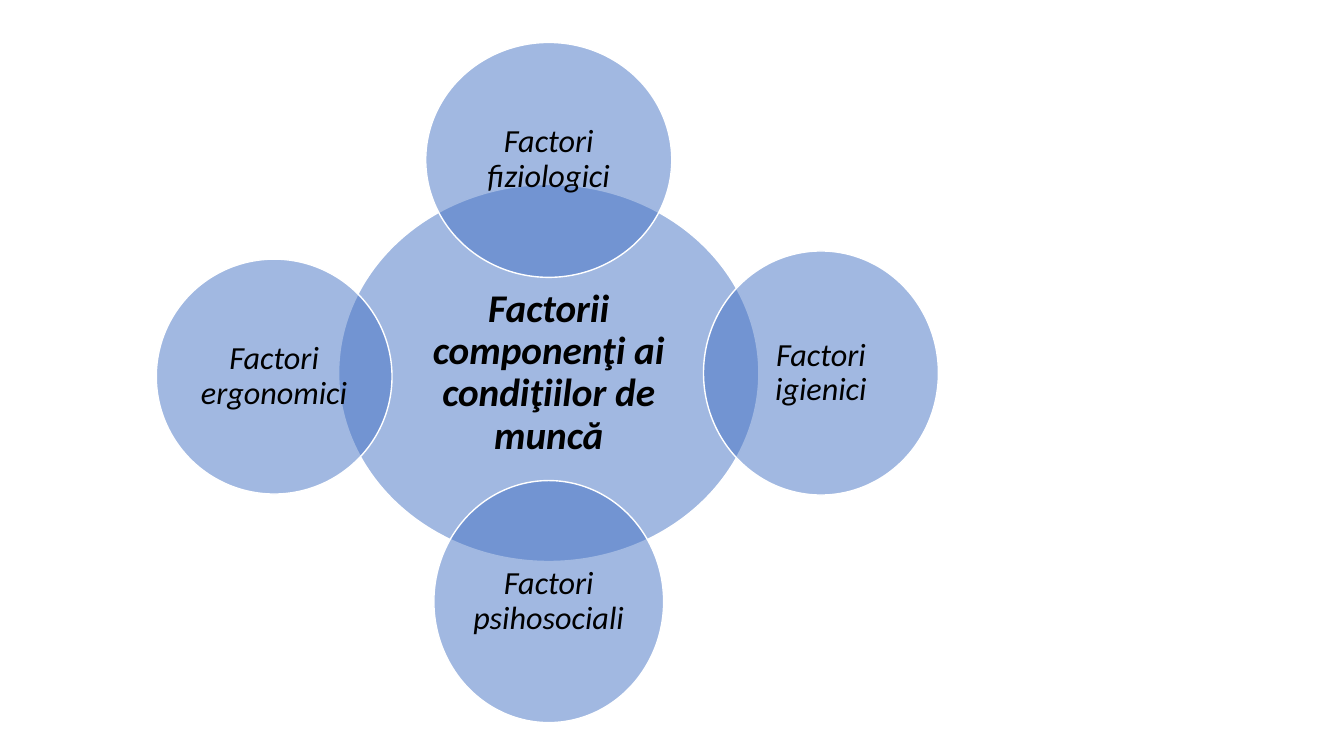
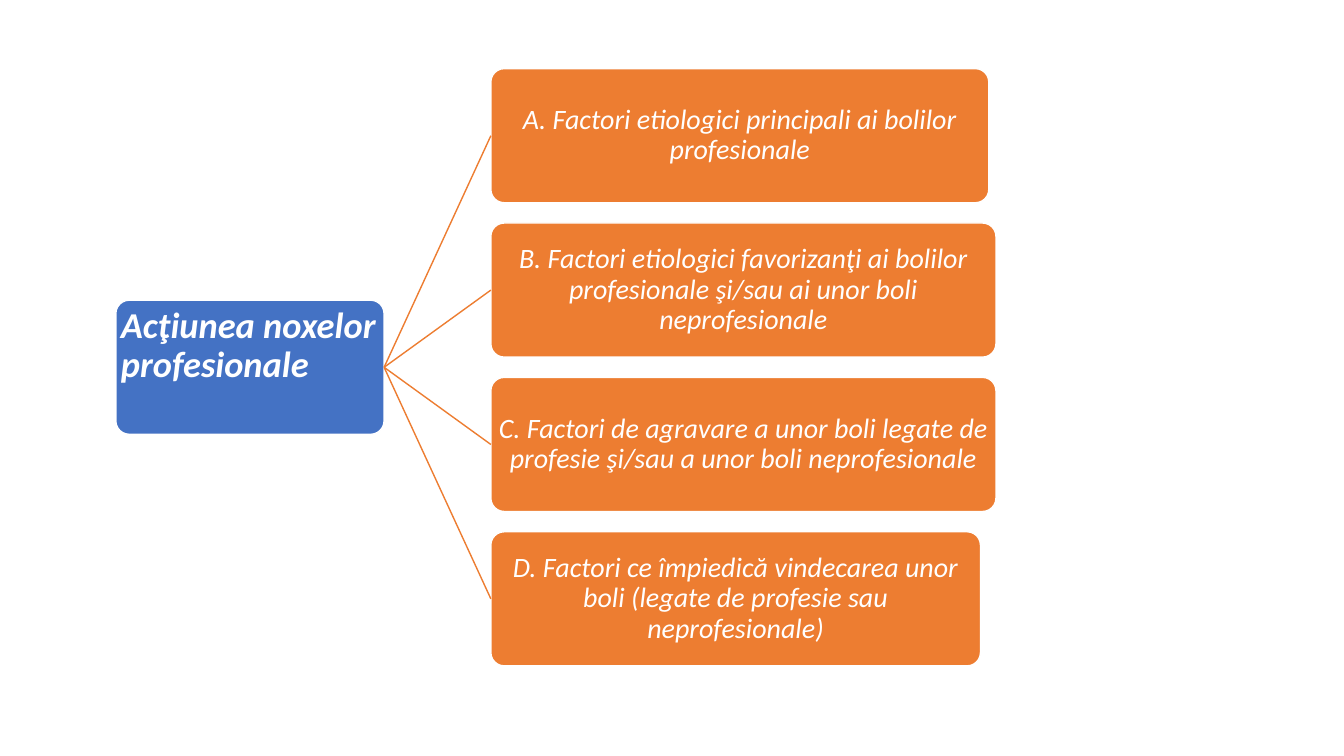
import pptx
import pptx.dml.color
import pptx.enum.shapes
import pptx.enum.text
import pptx.oxml.ns
import pptx.util
from lxml import etree

Cm = pptx.util.Cm
Pt = pptx.util.Pt
Kind = pptx.enum.shapes.MSO_SHAPE
Align = pptx.enum.text.PP_ALIGN
Anchor = pptx.enum.text.MSO_ANCHOR
qn = pptx.oxml.ns.qn


def color(text):
    return pptx.dml.color.RGBColor.from_string(text)


class Deck:
    FONT = "Calibri"
    BLUE, ORANGE, WHITE, BLACK = "4472C4", "ED7D31", "FFFFFF", "000000"

    def __init__(self):
        self.file = pptx.Presentation()
        self.file.slide_width = Cm(33.87)
        self.file.slide_height = Cm(19.05)
        self.slide = None

    def page(self):
        self.slide = self.file.slides.add_slide(self.file.slide_layouts[6])

    def shape(self, kind, place, fill, text, size, ink, bold=False, inset=0.03):
        """Add a white-edged shape with centred italic text; place is in cm."""
        shape = self.slide.shapes.add_shape(kind, *map(Cm, place))
        shape.shadow.inherit = False
        shape.fill.solid()
        shape.fill.fore_color.rgb = color(fill)
        shape.line.color.rgb = color(self.WHITE)
        shape.line.width = Pt(1)
        frame = shape.text_frame
        frame.word_wrap = True
        frame.vertical_anchor = Anchor.MIDDLE
        frame.margin_left = frame.margin_right = Cm(inset)
        frame.margin_top = frame.margin_bottom = Cm(inset)
        par = frame.paragraphs[0]
        par.text = text
        par.alignment = Align.CENTER
        par.line_spacing = 0.9
        font = par.font
        font.name, font.size = self.FONT, Pt(size)
        font.bold, font.italic = bold, True
        font.color.rgb = color(ink)
        return shape

    def circle(self, mid, width, height, text, size, bold=False):
        """Add a half-transparent ellipse around its centre point."""
        place = (mid[0] - width / 2, mid[1] - height / 2, width, height)
        shape = self.shape(Kind.OVAL, place, self.BLUE, text, size,
                           self.BLACK, bold, 0.08)
        tint = shape.fill._xPr.find(qn("a:solidFill"))[0]
        etree.SubElement(tint, qn("a:alpha"), val="50000")

    def box(self, place, fill, text, size, bold=False):
        shape = self.shape(Kind.ROUNDED_RECTANGLE, place, fill, text, size,
                           self.WHITE, bold)
        shape.adjustments[0] = 0.1
        return shape

    def link(self, start, end):
        """Join the right side of one box to the left side of another."""
        line = self.slide.shapes.add_connector(
            pptx.enum.shapes.MSO_CONNECTOR.STRAIGHT, 0, 0, 0, 0)
        line.begin_connect(start, 3)
        line.end_connect(end, 1)
        line.line.color.rgb = color(self.ORANGE)
        line.line.width = Pt(1)
        etree.SubElement(line._element.spPr, qn("a:effectLst"))


def factors(deck):
    deck.page()
    x, y = 13.83, 9.4
    deck.circle((x, y), 10.59, 9.5,
                "Factorii componenţi ai condiţiilor de muncă", 28, True)
    for mid, width, height, name in (
        ((x, 4.03), 6.2, 5.92, "fiziologici"),
        ((20.69, y), 5.92, 6.15, "igienici"),
        ((x, 15.16), 5.79, 6.1, "psihosociali"),
        ((6.91, 9.49), 5.94, 5.92, "ergonomici"),
    ):
        deck.circle(mid, width, height, "Factori " + name, 23)


def actions(deck):
    deck.page()
    top, step, height = 1.73, 3.89, 3.38
    items = (
        (12.55, "A. Factori etiologici principali ai bolilor profesionale"),
        (12.73, "B. Factori etiologici favorizanţi ai bolilor profesionale "
                "şi/sau ai unor boli neprofesionale"),
        (12.73, "C. Factori de agravare a unor boli legate de profesie "
                "şi/sau a unor boli neprofesionale"),
        (12.34, "D. Factori ce împiedică vindecarea unor boli "
                "(legate de profesie sau neprofesionale)"),
    )
    middle = top + step * (len(items) - 1) / 2
    root = deck.box((2.92, middle, 6.76, height), deck.BLUE,
                    "Acţiunea noxelor profesionale", 26, True)
    frame = root.text_frame
    frame.vertical_anchor = Anchor.TOP
    frame.margin_top = Cm(0.08)
    frame.paragraphs[0].alignment = Align.LEFT
    for row, (width, text) in enumerate(items):
        place = (12.37, top + row * step, width, height)
        deck.link(root, deck.box(place, deck.ORANGE, text, 20))


def main():
    deck = Deck()
    factors(deck)
    actions(deck)
    deck.file.save("out.pptx")


if __name__ == "__main__":
    main()
